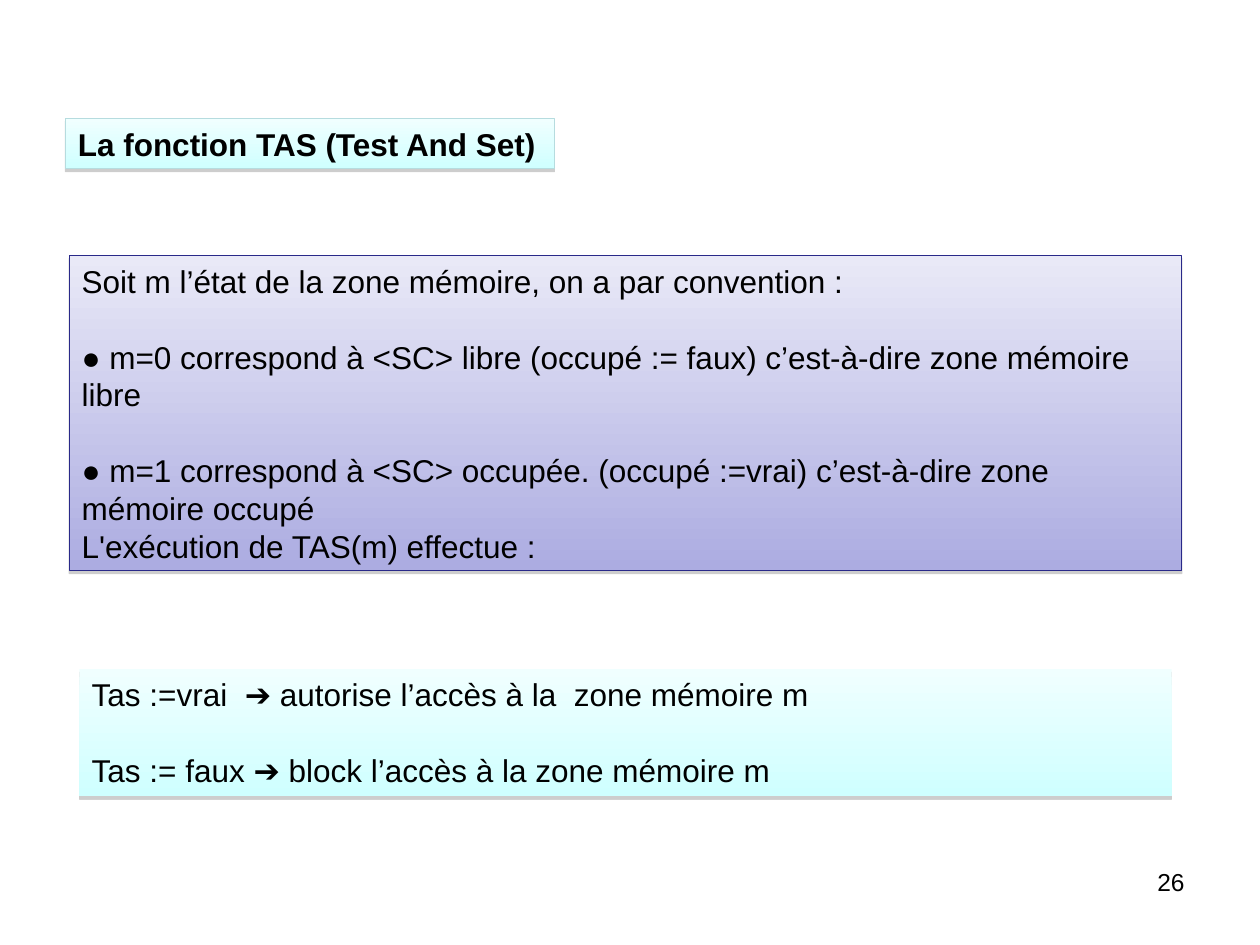
from dataclasses import dataclass

from lxml import etree
from pptx import Presentation
from pptx import util as u
from pptx.dml import color
from pptx.enum import shapes, text
from pptx.oxml import ns


@dataclass(frozen=True)
class Theme:
    font: str = "Arial"
    ink: str = "000000"
    shadow: str = "808080"
    aqua: tuple = ("F0FFFF", "CFFFFF")
    lavender: tuple = ("E9E9F7", "ACACE1")
    aqua_edge: str = "B6DCDF"
    navy_edge: str = "292989"
    body_size: int = 18
    number_size: int = 14
    gap: float = 21.6


THEME = Theme()


def rgb(value):
    return color.RGBColor.from_string(value)


def place(box):
    return [u.Inches(length) for length in box]


def write(frame, lines, size=THEME.body_size, bold=False, align=text.PP_ALIGN.LEFT):
    for index, (words, gap) in enumerate(lines):
        para = frame.paragraphs[0] if index == 0 else frame.add_paragraph()
        para.alignment = align
        para.space_before = u.Pt(gap)
        span = para.add_run()
        span.text = words
        span.font.name = THEME.font
        span.font.size = u.Pt(size)
        span.font.bold = bold
        span.font.color.rgb = rgb(THEME.ink)


def add_shadow(panel):
    panel.shadow.inherit = False
    effects = panel._element.spPr.find(ns.qn("a:effectLst"))
    outer = etree.SubElement(
        effects, ns.qn("a:outerShdw"),
        blurRad="0", dist=str(u.Pt(1.6)), dir="5400000", rotWithShape="0",
    )
    tint = etree.SubElement(outer, ns.qn("a:srgbClr"), val=THEME.shadow)
    etree.SubElement(tint, ns.qn("a:alpha"), val="38000")


def add_panel(page, box, gradient, edge, lines, bold=False, wrap=True):
    panel = page.shapes.add_shape(shapes.MSO_SHAPE.RECTANGLE, *place(box))
    panel.fill.gradient()
    panel.fill.gradient_angle = 270
    for stop, position, value in zip(panel.fill.gradient_stops, (0, 1), gradient):
        stop.position = position
        stop.color.rgb = rgb(value)
    if edge:
        panel.line.color.rgb = rgb(edge)
        panel.line.width = u.Pt(0.75)
    else:
        panel.line.fill.background()
    add_shadow(panel)
    frame = panel.text_frame
    frame.word_wrap = wrap
    frame.vertical_anchor = text.MSO_ANCHOR.TOP
    write(frame, lines, bold=bold)


def add_title(page, box):
    lines = [("La fonction TAS (Test And Set)", 0)]
    add_panel(page, box, THEME.aqua, THEME.aqua_edge, lines, bold=True, wrap=False)


def add_convention(page, box):
    lines = [
        ("Soit m l’état de la zone mémoire, on a par convention :", 0),
        ("● m=0 correspond à <SC> libre (occupé := faux) c’est-à-dire zone mémoire libre", THEME.gap),
        ("● m=1 correspond à <SC> occupée. (occupé :=vrai) c’est-à-dire zone mémoire occupé", THEME.gap),
        ("L'exécution de TAS(m) effectue :", 0),
    ]
    add_panel(page, box, THEME.lavender, THEME.navy_edge, lines)


def add_outcomes(page, box):
    lines = [
        ("Tas :=vrai  ➔ autorise l’accès à la  zone mémoire m", 0),
        ("Tas := faux ➔ block l’accès à la zone mémoire m", THEME.gap),
    ]
    add_panel(page, box, THEME.aqua, None, lines)


def add_page_number(page, box):
    frame = page.shapes.add_textbox(*place(box)).text_frame
    frame.word_wrap = True
    write(frame, [("26", 0)], size=THEME.number_size, align=text.PP_ALIGN.RIGHT)


def main():
    deck = Presentation()
    deck.slide_width, deck.slide_height = u.Inches(10), u.Inches(7.5)
    page = deck.slides.add_slide(deck.slide_layouts[6])
    add_page_number(page, (7.17, 6.83, 2.33, 0.52))
    add_title(page, (0.52, 0.94, 3.88, 0.4))
    add_convention(page, (0.55, 2.03, 8.83, 2.5))
    add_outcomes(page, (0.63, 5.31, 8.67, 1.01))
    deck.save("out.pptx")


if __name__ == "__main__":
    main()
